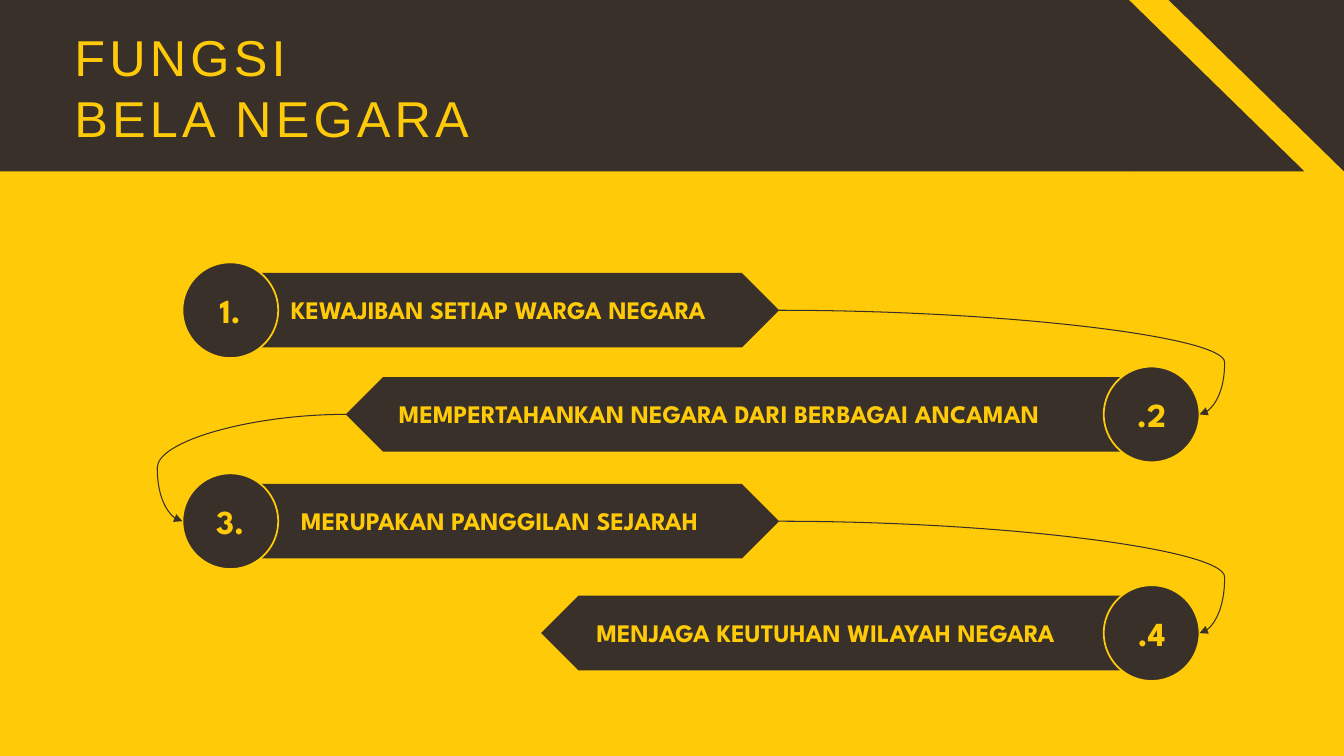
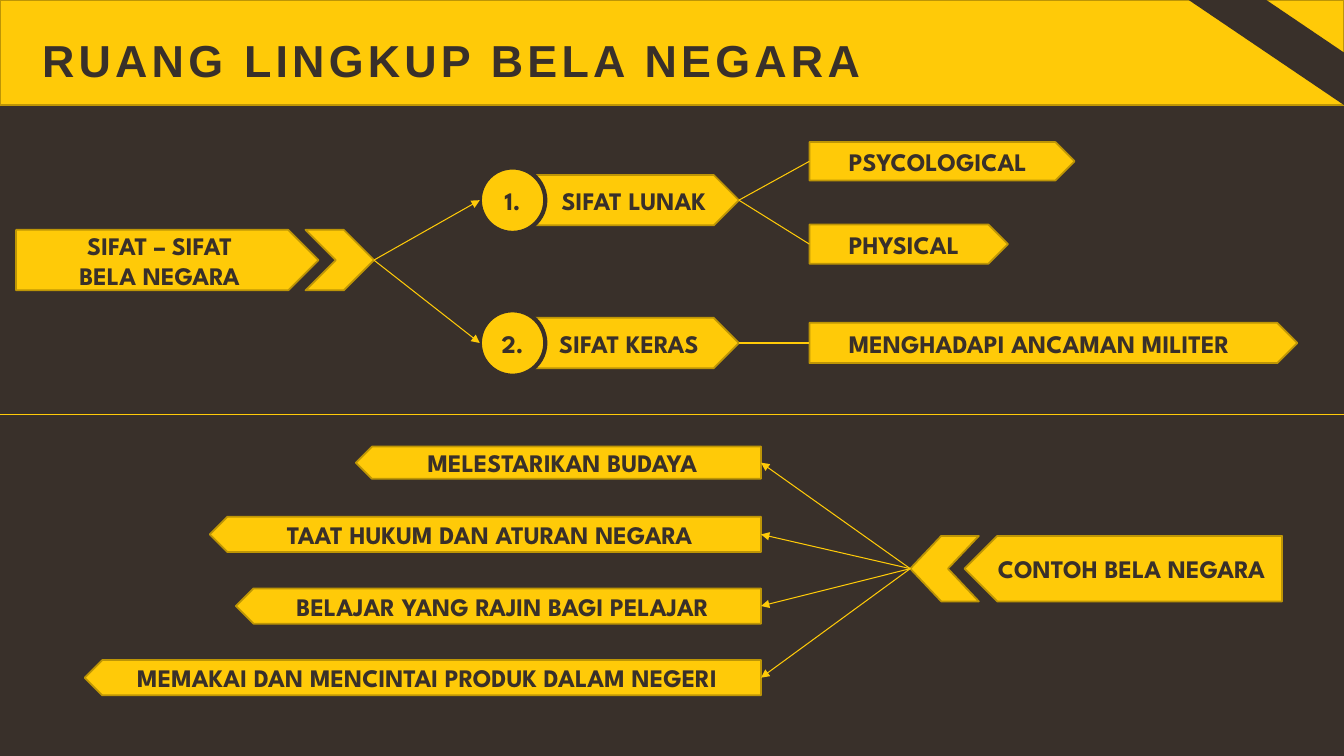
import lxml.etree
import pptx
import pptx.dml.color
import pptx.enum.shapes
import pptx.enum.text
import pptx.oxml.ns
import pptx.util

Pt = pptx.util.Pt
qn = pptx.oxml.ns.qn
SHAPE = pptx.enum.shapes.MSO_SHAPE
CONNECTOR = pptx.enum.shapes.MSO_CONNECTOR
ALIGN = pptx.enum.text.PP_ALIGN
ANCHOR = pptx.enum.text.MSO_ANCHOR


class Theme:
    YELLOW = pptx.dml.color.RGBColor.from_string("FFCA08")
    DARK = pptx.dml.color.RGBColor.from_string("39302A")
    EDGE = pptx.dml.color.RGBColor.from_string("BD9506")
    TITLE = {"name": "Arial", "size": Pt(36), "bold": False}
    TITLE_BOLD = {"name": "Arial", "size": Pt(32), "bold": True}
    LABEL = {"name": "League Spartan", "size": Pt(18), "bold": True}
    NUMBER = {"name": "League Spartan", "size": Pt(24), "bold": True}
    EDGE_LINE = (EDGE, 1.25)
    LINE = 0.75
    WIDTH, HEIGHT = 960, 540


class Deck:
    """Holds the presentation, the current slide and its two colours."""

    def __init__(self):
        self.prs = pptx.Presentation()
        self.prs.slide_width = Pt(Theme.WIDTH)
        self.prs.slide_height = Pt(Theme.HEIGHT)

    def new_slide(self, back, front):
        self.s = self.prs.slides.add_slide(self.prs.slide_layouts[6])
        self.back, self.front = back, front
        fill = self.s.background.fill
        fill.solid()
        fill.fore_color.rgb = back

    def put_text(self, tf, text, font, color, align, indent=0, spacing=None):
        for i, line in enumerate(text.split("\n")):
            p = tf.paragraphs[0] if i == 0 else tf.add_paragraph()
            p.alignment = align
            if indent:
                pPr = p._p.get_or_add_pPr()
                pPr.set("marL", str(Pt(indent)))
                pPr.set("indent", "0")
            r = p.add_run()
            r.text = line
            for name, value in font.items():
                setattr(r.font, name, value)
            r.font.color.rgb = color
            if spacing:
                r._r.get_or_add_rPr().set("spc", str(spacing * 100))
                p.line_spacing = Pt(font["size"].pt * 1.2)

    def shape(self, kind, x, y, w, h, line=None, fill=None, flip=False,
              turn=0, text="", font=Theme.LABEL, align=ALIGN.CENTER, indent=0):
        sp = self.s.shapes.add_shape(kind, Pt(x), Pt(y), Pt(w), Pt(h))
        sp.shadow.inherit = False
        sp.fill.solid()
        sp.fill.fore_color.rgb = fill or self.front
        sp.rotation = turn
        if line:
            sp.line.color.rgb, sp.line.width = line[0], Pt(line[1])
        else:
            sp.line.fill.background()
        if flip:
            sp._element.spPr.find(qn("a:xfrm")).set("flipH", "1")
        if text:
            tf = sp.text_frame
            tf.word_wrap, tf.vertical_anchor = True, ANCHOR.MIDDLE
            self.put_text(tf, text, font, self.back, align, indent)
        return sp

    def arrow(self, x, cy, w, h, kind=SHAPE.PENTAGON, **kw):
        return self.shape(kind, x, cy - h / 2, w, h, **kw)

    def circle(self, x, cy, d, text, line, font):
        self.shape(SHAPE.OVAL, x, cy - d / 2, d, d, line=line, text=text, font=font)

    def title(self, x, y, w, h, text, font, color):
        tf = self.s.shapes.add_textbox(Pt(x), Pt(y), Pt(w), Pt(h)).text_frame
        tf.word_wrap = True
        self.put_text(tf, text, font, color, ALIGN.LEFT, spacing=3)

    def label(self, x, cy, w, text):
        h = 29
        box = self.s.shapes.add_textbox(Pt(x), Pt(cy - h / 2 - 0.3), Pt(w), Pt(h))
        tf = box.text_frame
        tf.word_wrap = False
        tf.auto_size = pptx.enum.text.MSO_AUTO_SIZE.SHAPE_TO_FIT_TEXT
        self.put_text(tf, text, Theme.LABEL, self.back, ALIGN.JUSTIFY)

    def connect(self, start, end, head=False, via_x=None):
        """Straight line, or a curve that swings out to via_x."""
        kind = CONNECTOR.STRAIGHT if via_x is None else CONNECTOR.CURVE
        c = self.s.shapes.add_connector(kind, *(Pt(v) for v in (*start, *end)))
        c.line.color.rgb, c.line.width = self.front, Pt(Theme.LINE)
        spPr = c._element.spPr
        if head:
            lxml.etree.SubElement(spPr.find(qn("a:ln")), qn("a:tailEnd"), type="triangle")
        if via_x is not None:
            bend = round((via_x - start[0]) / (end[0] - start[0]) * 100000)
            geom = spPr.find(qn("a:prstGeom"))
            av = geom.find(qn("a:avLst"))
            if av is None:
                av = lxml.etree.SubElement(geom, qn("a:avLst"))
            lxml.etree.SubElement(av, qn("a:gd"), name="adj1", fmla=f"val {bend}")
        lxml.etree.SubElement(spPr, qn("a:effectLst"))


def functions_slide(d):
    d.new_slide(Theme.YELLOW, Theme.DARK)
    circle, left, right = 68.4, 130.3, 856.8
    # Rows: number, centre, arrow tip, label left, label width, text
    rows = [
        ("1.", 221.6, 556.6, 200.9, 334.8, "KEWAJIBAN SETIAP WARGA NEGARA"),
        (".2", 296, 247, 277.9, 510.5, "MEMPERTAHANKAN NEGARA DARI BERBAGAI ANCAMAN"),
        ("3.", 372.3, 556.6, 208.1, 320.4, "MERUPAKAN PANGGILAN SEJARAH"),
        (".4", 452.2, 386.6, 419, 366.5, "MENJAGA KEUTUHAN WILAYAH NEGARA"),
    ]
    for i, (number, cy, tip, x, w, text) in enumerate(rows):
        leftward = i % 2 == 1
        tail = right - 34.6 if leftward else left + 49
        d.arrow(min(tip, tail), cy, abs(tip - tail), 53.3, flip=leftward)
        d.circle(right - circle if leftward else left, cy, circle, number,
                 (d.back, 1.25), Theme.NUMBER)
        d.label(x, cy, w, text)
    # Curves from each tip to the next number
    for i, (row, following) in enumerate(zip(rows, rows[1:])):
        end_x, via_x = (left, 112.3) if i % 2 else (right, 874.8)
        d.connect((row[2], row[1]), (end_x, following[1]), True, via_x)
    # Title band with its two corner triangles
    band_w, band_h, corner = 806.4, 122.4, 125.3
    d.shape(SHAPE.RECTANGLE, 0, 0, band_w, band_h)
    d.title(46.1, 15.4, 402, 94, "FUNGSI\nBELA NEGARA", Theme.TITLE, d.back)
    for x, turn in ((band_w, 0), (Theme.WIDTH - corner, 180)):
        d.shape(SHAPE.RIGHT_TRIANGLE, x, 0, corner, band_h, turn=turn)


def scope_slide(d):
    d.new_slide(Theme.DARK, Theme.YELLOW)
    edge = {"line": Theme.EDGE_LINE}
    # Title band
    d.shape(SHAPE.RECTANGLE, 0, 0, Theme.WIDTH, 75.3, **edge)
    d.title(23, 19.7, 803.5, 46, "RUANG LINGKUP BELA NEGARA", Theme.TITLE_BOLD, d.back)
    d.shape(SHAPE.DIAGONAL_STRIPE, 849.1, 0, 110.9, 75, fill=d.back, flip=True)
    # Headings with chevrons
    traits, examples = (267.1, 185.8), (650.2, 406.2)
    d.arrow(11.5, traits[1], 216, 43.2, text="SIFAT – SIFAT\nBELA NEGARA", **edge)
    d.arrow(218.2, traits[1], 49, 43.2, SHAPE.CHEVRON, **edge)
    d.arrow(689, examples[1], 226.8, 46.8, flip=True, text="CONTOH BELA NEGARA", **edge)
    sp = d.arrow(examples[0], examples[1], 49, 46.8, SHAPE.CHEVRON, flip=True, **edge)
    sp.adjustments[0] = 0.473
    # Traits, each with its outcomes: centre, width, height, text
    outcome_x, trait_x, trait_w, circle = 578.2, 365.8, 162, 46.8
    groups = [
        ("1.", 143, "SIFAT LUNAK", 21, [(115.2, 189.4, 27.4, "PSYCOLOGICAL"),
                                        (174.4, 141.8, 28, "PHYSICAL")]),
        ("2.", 245, "SIFAT KERAS", 14, [(245, 348.5, 28.8, "MENGHADAPI ANCAMAN MILITER")]),
    ]
    for number, cy, trait, indent, outcomes in groups:
        d.arrow(trait_x, cy, trait_w, 36, text=trait, indent=indent, **edge)
        d.circle(342.7, cy, circle, number, (d.back, 3), Theme.LABEL)
        d.connect(traits, (342.7, cy), True)
        for out_cy, w, h, text in outcomes:
            d.arrow(outcome_x, out_cy, w, h, text=text, align=ALIGN.LEFT, indent=21, **edge)
            d.connect((trait_x + trait_w, cy), (outcome_x, out_cy))
    # Divider
    d.connect((0, 296), (Theme.WIDTH, 296))
    # Examples, aligned on their right edge
    right, top, step = 543.6, 330.5, 51.2
    for i, (w, h, text) in enumerate([
        (289.4, 23, "MELESTARIKAN BUDAYA"),
        (393.8, 25.2, "TAAT HUKUM DAN ATURAN NEGARA"),
        (375.1, 25.2, "BELAJAR YANG RAJIN BAGI PELAJAR"),
        (483.1, 25.2, "MEMAKAI DAN MENCINTAI PRODUK DALAM NEGERI"),
    ]):
        cy = top + step * i
        d.arrow(right - w, cy, w, h, flip=True, text=text, **edge)
        d.connect(examples, (right, cy), True)


def main():
    d = Deck()
    functions_slide(d)
    scope_slide(d)
    d.prs.save("out.pptx")


if __name__ == "__main__":
    main()
